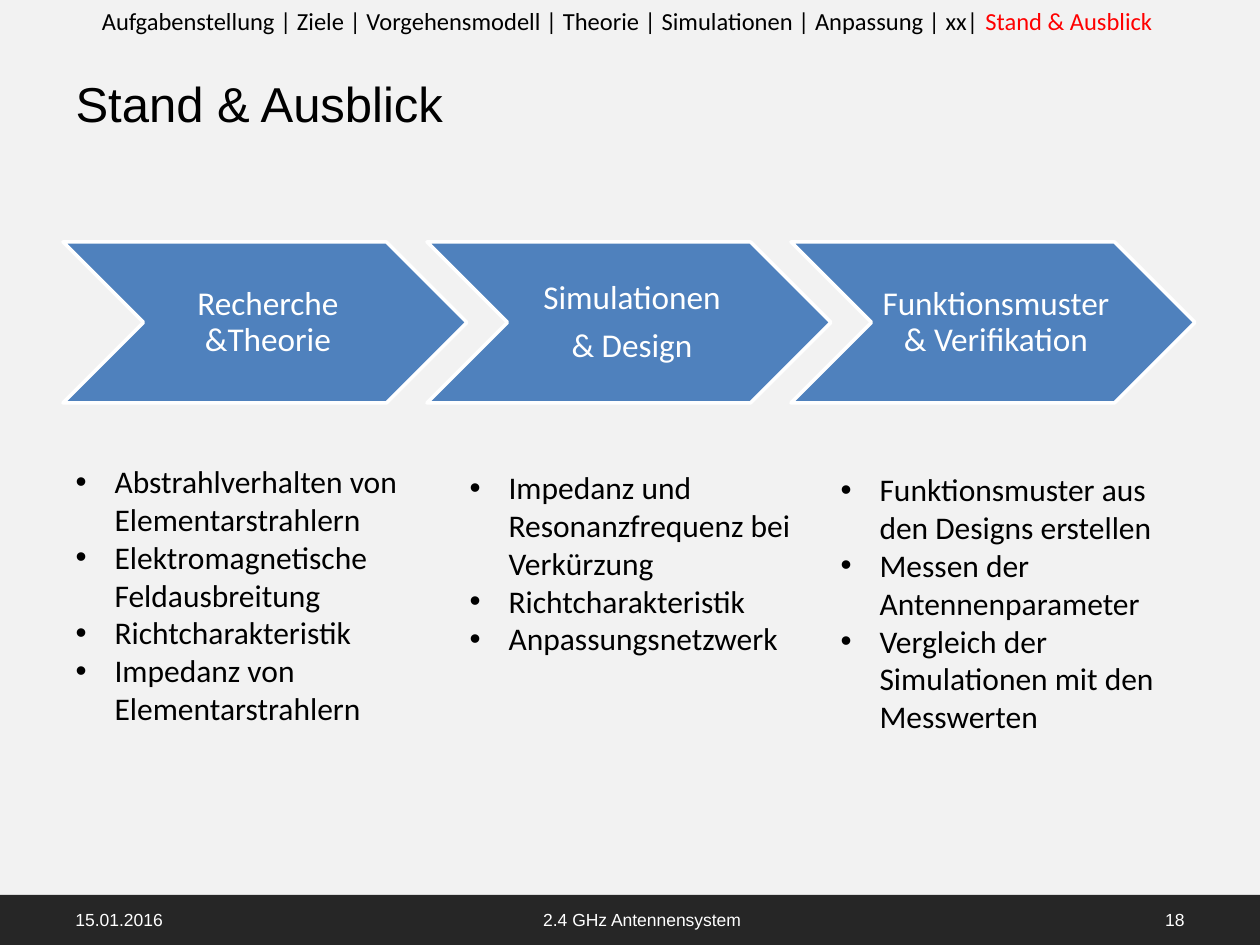
from dataclasses import dataclass

from lxml.etree import SubElement
from pptx import Presentation
from pptx.dml.color import RGBColor
from pptx.enum.shapes import MSO_SHAPE as Preset
from pptx.enum.text import MSO_ANCHOR as Anchor, MSO_AUTO_SIZE as AutoSize, PP_ALIGN as Align
from pptx.oxml.ns import qn
from pptx.util import Emu, Pt

PIXELS_PER_INCH = 126
BLACK, WHITE, RED = "000000", "FFFFFF", "FF0000"
BLUE, DARK, LIGHT = "4F81BD", "262626", "F2F2F2"
STEP_LEFT, STEP_PITCH, STEP_TOP, STEP_WIDTH, STEP_HEIGHT = 63, 364, 242, 404, 161
LIST_WIDTH, LIST_INDENT = 348, 39
FOOTER_TOP, FOOTER_HEIGHT = 895, 50


@dataclass
class Box:
    """A rectangle in pixels."""
    left: int
    top: int
    width: int
    height: int


@dataclass
class Phase:
    """A project phase: its arrow label and the list below it."""
    label: list[str]
    items: list[str]
    list_box: Box


@dataclass
class FooterText:
    """One text in the footer bar."""
    text: str
    left: int
    width: int
    align: Align


PHASES = [
    Phase(["Recherche &Theorie"],
          ["Abstrahlverhalten von Elementarstrahlern", "Elektromagnetische Feldausbreitung",
           "Richtcharakteristik", "Impedanz von Elementarstrahlern"],
          Box(63, 456, LIST_WIDTH, 280)),
    Phase(["Simulationen", "& Design"],
          ["Impedanz und Resonanzfrequenz bei Verkürzung", "Richtcharakteristik",
           "Anpassungsnetzwerk"],
          Box(457, 462, LIST_WIDTH, 242)),
    Phase(["Funktionsmuster & Verifikation"],
          ["Funktionsmuster aus den Designs erstellen", "Messen der Antennenparameter",
           "Vergleich der Simulationen mit den Messwerten"],
          Box(828, 464, LIST_WIDTH, 280)),
]
FOOTER = [
    FooterText("15.01.2016", 63, 294, Align.LEFT),
    FooterText("2.4 GHz Antennensystem", 431, 422, Align.CENTER),
    FooterText("18", 903, 294, Align.RIGHT),
]


def px(pixels: int) -> Emu:
    """Turn pixels into EMU."""
    return Emu(round(pixels * 914400 / PIXELS_PER_INCH))


def color(value: str) -> RGBColor:
    """Turn a hex string into a colour."""
    return RGBColor.from_string(value)


def frame(box: Box) -> tuple[Emu, ...]:
    """Return the box as left, top, width and height in EMU."""
    return px(box.left), px(box.top), px(box.width), px(box.height)


def place(shape, box: Box) -> None:
    """Move and size a placeholder."""
    shape.left, shape.top, shape.width, shape.height = frame(box)


def set_font(font, name: str, size: int, value: str) -> None:
    """Set the typeface, size and colour of a font."""
    font.name, font.size, font.bold = name, Pt(size), False
    font.color.rgb = color(value)


def write(shape, lines: list[str], name: str, size: int, value: str,
          align: Align = Align.LEFT, anchor: Anchor = Anchor.MIDDLE) -> None:
    """Write one paragraph per line in a common format."""
    text_frame = shape.text_frame
    text_frame.text = "\n".join(lines)
    text_frame.word_wrap = True
    text_frame.auto_size = AutoSize.NONE
    text_frame.vertical_anchor = anchor
    for paragraph in text_frame.paragraphs:
        paragraph.alignment = align
        set_font(paragraph.font, name, size, value)


def add_preset(slide, preset: Preset, box: Box, fill: str):
    """Add a flat filled shape without outline."""
    shape = slide.shapes.add_shape(preset, *frame(box))
    shape.shadow.inherit = False
    shape.fill.solid()
    shape.fill.fore_color.rgb = color(fill)
    shape.line.fill.background()
    return shape


def add_step(slide, index: int, label: list[str]) -> None:
    """Add the labelled chevron of one phase."""
    box = Box(STEP_LEFT + index * STEP_PITCH, STEP_TOP, STEP_WIDTH, STEP_HEIGHT)
    chevron = add_preset(slide, Preset.CHEVRON, box, BLUE)
    chevron.line.color.rgb = color(WHITE)
    chevron.line.width = Pt(2)
    write(chevron, label, "Calibri", 19, WHITE, Align.CENTER)
    text_frame = chevron.text_frame
    text_frame.margin_left = px(10)
    text_frame.margin_right = text_frame.margin_top = text_frame.margin_bottom = px(4)
    for paragraph in text_frame.paragraphs:
        paragraph.line_spacing = 0.9
        paragraph.space_after = Pt(6.65)


def fill_list(placeholder, phase: Phase) -> None:
    """Write the bullet list of one phase into a body placeholder."""
    place(placeholder, phase.list_box)
    write(placeholder, phase.items, "Calibri", 18, BLACK, anchor=Anchor.TOP)
    for paragraph in placeholder.text_frame.paragraphs:
        paragraph.space_before = Pt(0)
        properties = paragraph._p.get_or_add_pPr()
        properties.set("marL", str(px(LIST_INDENT)))
        properties.set("indent", str(-px(LIST_INDENT)))
        SubElement(properties, qn("a:buFont")).set("typeface", "Arial")
        SubElement(properties, qn("a:buChar")).set("char", "•")


def add_navigation(slide) -> None:
    """Add the chapter line with the current chapter in red."""
    shape = slide.shapes.add_textbox(*frame(Box(0, 0, 1260, 43)))
    chapters = "Aufgabenstellung | Ziele | Vorgehensmodell | Theorie | Simulationen | Anpassung | xx| "
    write(shape, [chapters], "Calibri", 14, BLACK, Align.CENTER, Anchor.TOP)
    current = shape.text_frame.paragraphs[0].add_run()
    current.text = "Stand & Ausblick "
    current.font.color.rgb = color(RED)


def add_footer(slide) -> None:
    """Add the dark footer bar and its texts."""
    add_preset(slide, Preset.RECTANGLE, Box(0, FOOTER_TOP, 1260, FOOTER_HEIGHT), DARK)
    for entry in FOOTER:
        box = Box(entry.left, FOOTER_TOP, entry.width, FOOTER_HEIGHT)
        shape = slide.shapes.add_textbox(*frame(box))
        write(shape, [entry.text], "Arial", 10, WHITE, entry.align)


def main() -> None:
    """Build and save the slide."""
    presentation = Presentation()
    presentation.slide_width, presentation.slide_height = px(1260), px(945)
    slide = presentation.slides.add_slide(presentation.slide_layouts.get_by_name("Comparison"))
    slide.background.fill.solid()
    slide.background.fill.fore_color.rgb = color(LIGHT)

    title, *bodies = slide.placeholders
    place(title, Box(63, 66, 1134, 73))
    write(title, ["Stand & Ausblick"], "Arial", 28, BLACK)
    for index, (phase, body) in enumerate(zip(PHASES, bodies)):
        add_step(slide, index, phase.label)
        fill_list(body, phase)
    for unused in bodies[len(PHASES):]:
        unused.element.getparent().remove(unused.element)

    add_navigation(slide)
    add_footer(slide)
    presentation.save("out.pptx")


main()
